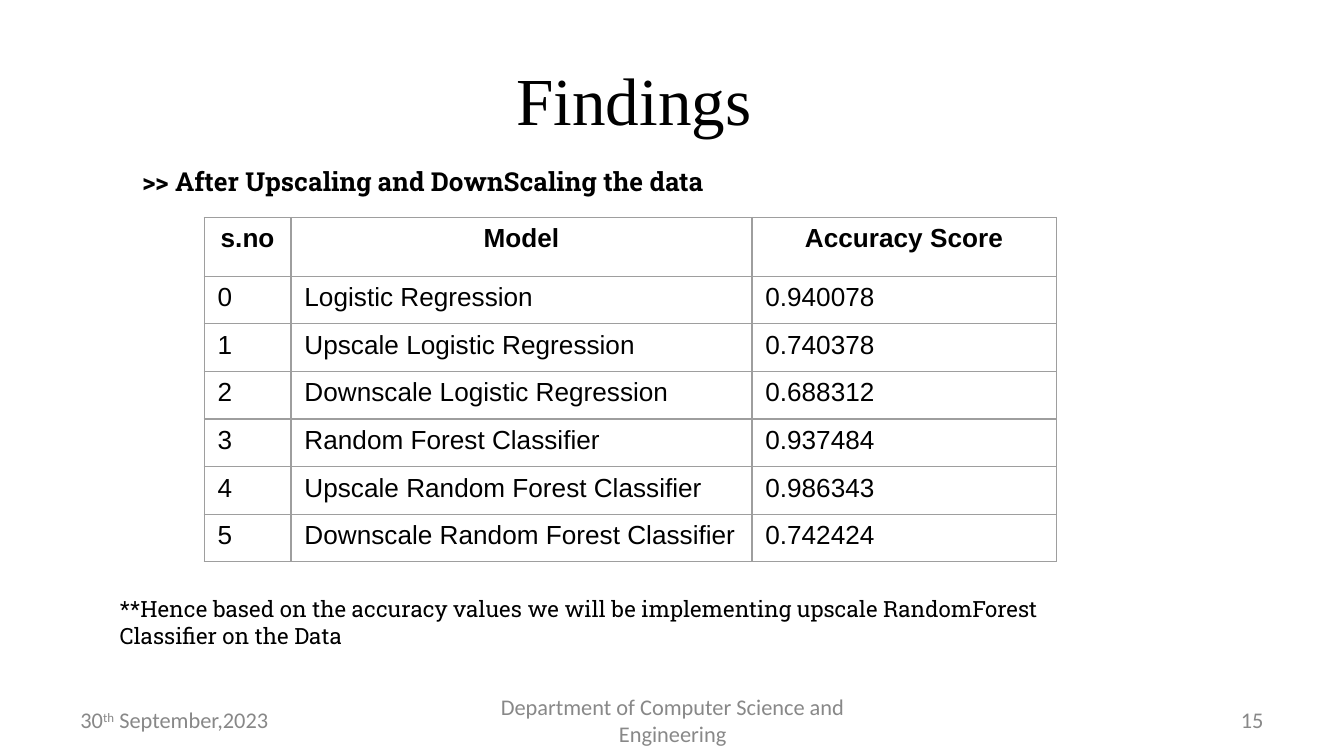
from lxml.etree import SubElement
from pptx import Presentation
from pptx.dml.color import RGBColor
from pptx.enum.text import MSO_ANCHOR as Anchor, PP_ALIGN as Align
from pptx.oxml.ns import qn
from pptx.util import Cm, Pt

BLACK, GREY, BORDER = "000000", "888888", "9E9E9E"
HEADINGS = ("s.no", "Model", "Accuracy Score")
SCORES = (
    ("Logistic Regression", "0.940078"),
    ("Upscale Logistic Regression", "0.740378"),
    ("Downscale Logistic Regression", "0.688312"),
    ("Random Forest Classifier", "0.937484"),
    ("Upscale Random Forest Classifier", "0.986343"),
    ("Downscale Random Forest Classifier", "0.742424"),
)
COLUMN_WIDTHS = (1.64, 8.71, 5.75)
HEADER_HEIGHT, ROW_HEIGHT = 1.11, 0.9


def color(hex_code):
    return RGBColor.from_string(hex_code)


def add_run(paragraph, text, font="Arial", size=14, hex_code=BLACK, bold=False, baseline=None):
    run = paragraph.add_run()
    run.text = text
    run.font.name = font
    run.font.size = Pt(size)
    run.font.bold = bold
    run.font.color.rgb = color(hex_code)
    if baseline:
        run.font._element.set("baseline", str(baseline * 1000))


def write(frame, text, align=Align.LEFT, anchor=Anchor.TOP, superscript="", rest="", **style):
    frame.word_wrap = True
    frame.vertical_anchor = anchor
    paragraph = frame.paragraphs[0]
    paragraph.alignment = align
    add_run(paragraph, text, **style)
    if superscript:
        add_run(paragraph, superscript, baseline=30, **style)
        add_run(paragraph, rest, **style)


def add_text(slide, text, left, top, width, height, **style):
    box = slide.shapes.add_textbox(Cm(left), Cm(top), Cm(width), Cm(height))
    write(box.text_frame, text, **style)


def add_title(slide, text):
    title = slide.shapes.title
    title.left, title.top, title.width, title.height = Cm(3.48), Cm(0.99), Cm(17), Cm(1.75)
    write(title.text_frame, text, align=Align.CENTER, anchor=Anchor.MIDDLE,
          font="Times New Roman", size=36)


def add_footer(slide, text, left, width, **style):
    add_text(slide, text, left, 13.23, width, 0.76, anchor=Anchor.MIDDLE,
             font="Calibri", size=12, hex_code=GREY, **style)


def draw_borders(cell):
    properties = cell._tc.get_or_add_tcPr()
    for side in ("lnL", "lnR", "lnT", "lnB"):
        line = SubElement(properties, qn(f"a:{side}"), w=str(Pt(0.75)))
        fill = SubElement(line, qn("a:solidFill"))
        SubElement(fill, qn("a:srgbClr"), val=BORDER)


def add_score_table(slide):
    rows = [HEADINGS] + [(str(number), *score) for number, score in enumerate(SCORES)]
    heights = [HEADER_HEIGHT] + [ROW_HEIGHT] * len(SCORES)
    table = slide.shapes.add_table(
        len(rows), len(HEADINGS), Cm(3.86), Cm(4.11),
        Cm(sum(COLUMN_WIDTHS)), Cm(sum(heights))).table
    table.horz_banding = False
    for column, width in zip(table.columns, COLUMN_WIDTHS):
        column.width = Cm(width)
    for row, height, values in zip(table.rows, heights, rows):
        row.height = Cm(height)
        is_header = values is HEADINGS
        for cell, value in zip(row.cells, values):
            draw_borders(cell)
            cell.fill.background()
            write(cell.text_frame, value, bold=is_header,
                  align=Align.CENTER if is_header else Align.LEFT)


def main():
    deck = Presentation()
    deck.slide_width, deck.slide_height = Cm(25.4), Cm(14.29)
    slide = deck.slides.add_slide(deck.slide_layouts[5])
    add_footer(slide, "15", 18.21, 5.92, align=Align.RIGHT)
    add_title(slide, "Findings")
    add_footer(slide, "30", 1.27, 5.92, superscript="th", rest=" September,2023")
    add_footer(slide, "Department of Computer Science and Engineering", 8.69, 8.05,
               align=Align.CENTER)
    add_text(slide, ">> After Upscaling and DownScaling the data", 2.44, 3, 21.16, 0.86,
             font="Roboto Slab", bold=True)
    add_score_table(slide)
    add_text(slide, "**Hence based on the accuracy values we will be implementing "
             "upscale RandomForest Classifier on the Data", 2.01, 11.13, 19.38, 1.27,
             font="Roboto Slab", size=12)
    deck.save("out.pptx")


if __name__ == "__main__":
    main()
